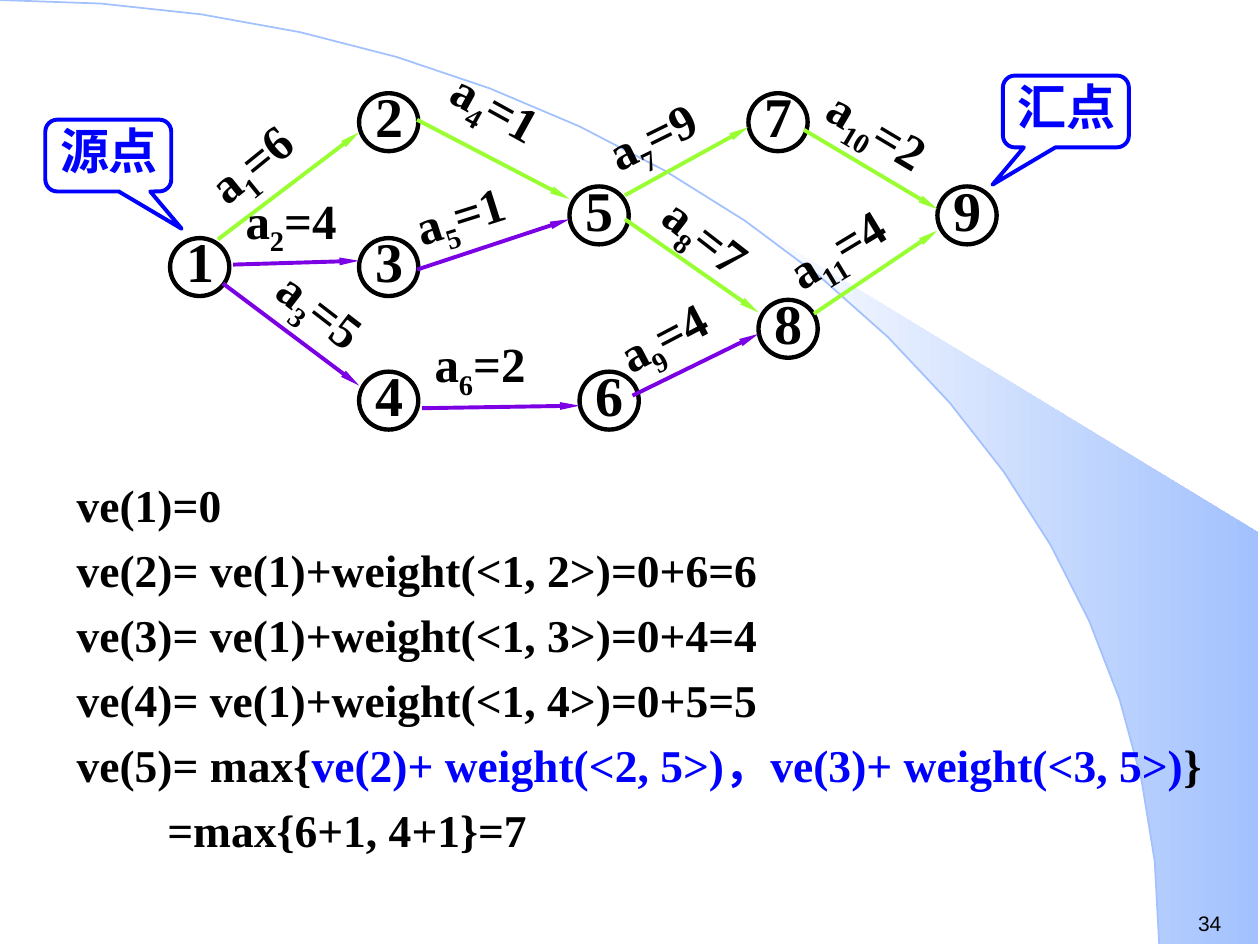
from dataclasses import dataclass
from math import cos, radians, sin

from lxml import etree
from pptx import Presentation
from pptx.dml.color import RGBColor
from pptx.enum.shapes import MSO_CONNECTOR, MSO_SHAPE
from pptx.enum.text import PP_ALIGN
from pptx.oxml.ns import qn
from pptx.util import Inches, Pt

STRAIGHT = MSO_CONNECTOR.STRAIGHT
OVAL = MSO_SHAPE.OVAL
CALLOUT = MSO_SHAPE.ROUNDED_RECTANGULAR_CALLOUT
CENTER = PP_ALIGN.CENTER
LEFT = PP_ALIGN.LEFT


@dataclass(frozen=True)
class Theme:
    black: RGBColor = RGBColor(0x00, 0x00, 0x00)
    white: RGBColor = RGBColor(0xFF, 0xFF, 0xFF)
    blue: RGBColor = RGBColor(0x00, 0x00, 0xFF)
    sky: RGBColor = RGBColor(0xA2, 0xC1, 0xFE)
    green: RGBColor = RGBColor(0x99, 0xFF, 0x33)
    purple: RGBColor = RGBColor(0x7B, 0x00, 0xE4)
    serif: str = "Times New Roman"
    sans: str = "Arial"
    node_size: Pt = Pt(32)
    label_size: Pt = Pt(28)
    body_size: Pt = Pt(26)
    number_size: Pt = Pt(12)


theme = Theme()


def add_text(box, pieces, size, color, alignment=LEFT, name=theme.serif, bold=True):
    textbox = slide.shapes.add_textbox(*map(Inches, box))
    textbox.text_frame.word_wrap = True
    paragraph = textbox.text_frame.paragraphs[0]
    paragraph.alignment = alignment
    paragraph.font.name = name
    paragraph.font.size = size
    paragraph.font.bold = bold
    paragraph.font.color.rgb = color
    for piece in pieces:
        paragraph.add_run().text = piece
    return textbox


def add_outline(kind, box, color, weight):
    shape = slide.shapes.add_shape(kind, *map(Inches, box))
    shape.shadow.inherit = False
    shape.fill.background()
    shape.line.color.rgb = color
    shape.line.width = Pt(weight)
    return shape


presentation = Presentation()
presentation.slide_width = Inches(10)
presentation.slide_height = Inches(7.5)
slide = presentation.slides.add_slide(presentation.slide_layouts[6])

arc_width, arc_height = 9.2, 7.49
arc = [
    (Inches(arc_width * sin(radians(angle))), Inches(arc_height * (1 - cos(radians(angle)))))
    for angle in range(0, 91, 5)
]
wedge_points = arc[8:] + [(Inches(9.99), Inches(7.49)), (Inches(9.99), Inches(4.23))]
builder = slide.shapes.build_freeform(*wedge_points[0])
builder.add_line_segments(wedge_points[1:], close=True)
wedge = builder.convert_to_shape()
wedge.shadow.inherit = False
wedge.line.fill.background()
wedge.fill.gradient()
wedge.fill.gradient_angle = 0
for stop, color in zip(wedge.fill.gradient_stops, (theme.white, theme.sky)):
    stop.color.rgb = color

builder = slide.shapes.build_freeform(*arc[0])
builder.add_line_segments(arc[1:], close=False)
curve = builder.convert_to_shape()
curve.shadow.inherit = False
curve.fill.background()
curve.line.color.rgb = theme.sky
curve.line.width = Pt(1)

add_text(
    (9.41, 7.18, 0.59, 0.3), ["34"], theme.number_size, theme.black, name=theme.sans, bold=False
)

derivation = [
    [("ve(1)=0", theme.black)],
    [("ve(2)= ve(1)+weight(<1, 2>)=0+6=6", theme.black)],
    [("ve(3)= ve(1)+weight(<1, 3>)=0+4=4", theme.black)],
    [("ve(4)= ve(1)+weight(<1, 4>)=0+5=5", theme.black)],
    [
        ("ve(5)= max{", theme.black),
        ("ve(2)+ weight(<2, 5>)，ve(3)+ weight(<3, 5>)", theme.blue),
        ("}", theme.black),
    ],
    [("=max{6+1, 4+1}=7", theme.black)],
]
body = slide.shapes.add_textbox(Inches(0.51), Inches(3.67), Inches(9.17), Inches(3.21))
body.text_frame.word_wrap = True
for index, pieces in enumerate(derivation):
    paragraph = body.text_frame.paragraphs[0] if index == 0 else body.text_frame.add_paragraph()
    paragraph.line_spacing = 1.15
    paragraph.space_before = Pt(1.3 if index else 0)
    paragraph.font.name = theme.serif
    paragraph.font.size = theme.body_size
    paragraph.font.bold = True
    for text, color in pieces:
        run = paragraph.add_run()
        run.text = text
        run.font.color.rgb = color
paragraph._p.get_or_add_pPr().set("marL", str(Inches(0.72)))

nodes = [
    (1.35, 1.89), (2.85, 0.74), (2.85, 1.89), (2.85, 2.95), (4.52, 1.48),
    (4.6, 2.95), (5.94, 0.74), (6.02, 2.38), (7.44, 1.48),
]
for name, (left, top) in enumerate(nodes, 1):
    add_outline(OVAL, (left, top, 0.47, 0.46), theme.black, 2.5)
    number_area = (left + 0.03, top - 0.14, 0.34, 0.63)
    add_text(number_area, [str(name)], theme.node_size, theme.black, CENTER)

activities = [
    (6, 1.5, 0.93, -39.1, (1.73, 1.9), (2.85, 1.05), theme.green),
    (4, 1.85, 1.46, 0, (1.85, 2.1), (2.85, 2.07), theme.purple),
    (5, 2.04, 2.32, 37.7, (1.77, 2.25), (2.85, 3.06), theme.purple),
    (1, 3.45, 0.68, 28.9, (3.31, 0.95), (4.52, 1.58), theme.green),
    (1, 3.18, 1.34, -17.6, (3.31, 2.14), (4.52, 1.74), theme.purple),
    (2, 3.35, 2.6, 0, (3.35, 3.24), (4.6, 3.22), theme.purple),
    (9, 4.69, 0.68, -26.2, (4.96, 1.55), (5.94, 1.01), theme.green),
    (7, 5.1, 1.74, 37.95, (4.96, 1.74), (6.02, 2.48), theme.green),
    (4, 4.77, 2.27, -27.6, (5.02, 3.14), (6.02, 2.65), theme.purple),
    (2, 6.43, 0.84, 30.9, (6.38, 1.03), (7.44, 1.66), theme.green),
    (4, 6.1, 1.58, -31.2, (6.46, 2.49), (7.44, 1.83), theme.green),
]
for name, (weight, left, top, rotation, start, end, color) in enumerate(activities, 1):
    label_area = (left, top, 1.17 if name == 1 else 1.42, 0.57)
    label = add_text(label_area, ["a", str(name), f"={weight}"], theme.label_size, theme.black)
    label.rotation = rotation
    subscript = label.text_frame.paragraphs[0].runs[1]
    subscript.font._element.set("baseline", "-25000")

    arrow = slide.shapes.add_connector(STRAIGHT, *map(Inches, start + end))
    arrow.line.color.rgb = color
    arrow.line.width = Pt(2.25)
    line = arrow.line._get_or_add_ln()
    etree.SubElement(line, qn("a:tailEnd"), type="triangle", w="sm", len="lg")
    etree.SubElement(arrow._element.spPr, qn("a:effectLst"))

for text, left, top, tail in (("汇点", 7.96, 0.6, -0.583), ("源点", 0.36, 0.95, 0.583)):
    caption_area = (left - 0.08, top - 0.04, 1.17, 0.57)
    add_text(caption_area, [text], theme.label_size, theme.blue, CENTER)
    callout = add_outline(CALLOUT, (left, top, 1, 0.57), theme.blue, 2.25)
    callout.adjustments[0] = tail
    callout.adjustments[1] = 1.02

presentation.save("out.pptx")
